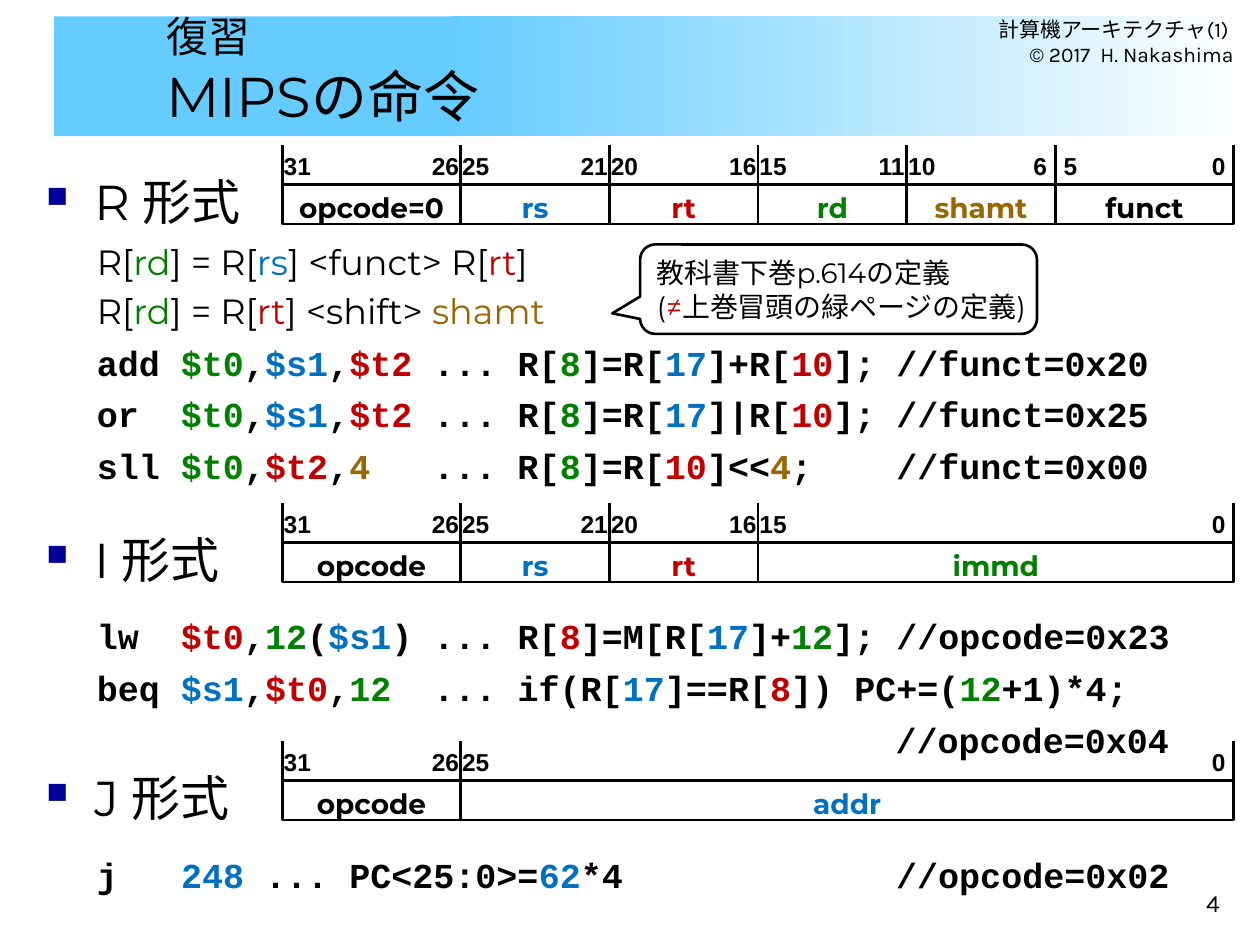
"""Build a slide that reviews the three MIPS instruction formats."""
import pptx
import pptx.dml.color
import pptx.enum.dml
import pptx.enum.shapes
import pptx.enum.text
import pptx.oxml
import pptx.oxml.ns
import pptx.util

COLUMNS, ROWS = 100, 75
CELL = pptx.util.Inches(0.1)
WORD_LEFT, BIT, WORD_BITS = 22.4, 2.36, 32
FIELD_HEIGHT = 3.15
LABEL_WIDTH = 2.4
BODY, CODE, NUMBER, HEADER = "Montserrat", "Courier New", "Arial", "Karla"
COLORS = {
    "black": "000000", "white": "FFFFFF", "sky": "66CCFF", "navy": "000099",
    "green": "008000", "blue": "0070C0", "red": "C00000", "brown": "996600",
}
ALIGN = pptx.enum.text.PP_ALIGN
ANCHOR = pptx.enum.text.MSO_ANCHOR
SHAPE = pptx.enum.shapes.MSO_SHAPE
NAMESPACE = pptx.oxml.ns.nsdecls("a")

FORMATS = [
    ("R 形式", 11.5, [
        (31, 26, "opcode=0", "black"), (25, 21, "rs", "blue"),
        (20, 16, "rt", "red"), (15, 11, "rd", "green"),
        (10, 6, "shamt", "brown"), (5, 0, "funct", "black"),
    ]),
    ("I 形式", 39.9, [
        (31, 26, "opcode", "black"), (25, 21, "rs", "blue"),
        (20, 16, "rt", "red"), (15, 0, "immd", "green"),
    ]),
    ("J 形式", 58.8, [(31, 26, "opcode", "black"), (25, 0, "addr", "blue")]),
]
R_MEANING = [
    "R[{green:rd}] = R[{blue:rs}] <funct> R[{red:rt}]",
    "R[{green:rd}] = R[{red:rt}] <shift> {brown:shamt}",
]
R_CODE = [
    "add {green:$t0},{blue:$s1},{red:$t2} ... R[{green:8}]=R[{blue:17}]+R[{red:10}]; //funct=0x20",
    "or  {green:$t0},{blue:$s1},{red:$t2} ... R[{green:8}]=R[{blue:17}]|R[{red:10}]; //funct=0x25",
    "sll {green:$t0},{red:$t2},{brown:4}   ... R[{green:8}]=R[{red:10}]<<{brown:4};    //funct=0x00",
]
I_CODE = [
    "lw  {red:$t0},{green:12}({blue:$s1}) ... R[{red:8}]=M[R[{blue:17}]+{green:12}]; //opcode=0x23",
    "beq {blue:$s1},{red:$t0},{green:12}  ... if(R[{blue:17}]==R[{red:8}]) PC+=({green:12}+1)*4;",
    "                                      //opcode=0x04",
]
J_CODE = ["j   {blue:248} ... PC<25:0>={blue:62}*4             //opcode=0x02"]


def grid(*lengths):
    return [round(length * CELL) for length in lengths]


def rgb(name):
    return pptx.dml.color.RGBColor.from_string(COLORS[name])


def colored_parts(text, color):
    for part in text.split("{"):
        marked, brace, rest = part.partition("}")
        if brace:
            name, _, words = marked.partition(":")
            yield words, name
            yield rest, color
        else:
            yield part, color


def write(paragraph, text, font=BODY, size=20, color="black", bold=False,
          align=ALIGN.LEFT, before=0):
    paragraph.alignment = align
    if before:
        paragraph.space_before = pptx.util.Pt(before)
    for words, name in colored_parts(text, color):
        if words:
            run = paragraph.add_run()
            run.text = words
            run.font.name = font
            run.font.size = pptx.util.Pt(size)
            run.font.bold = bold
            run.font.color.rgb = rgb(name)


def set_frame(shape, insets=(1, 0.5, 1, 0.5), anchor=ANCHOR.TOP, wrap=False):
    frame = shape.text_frame
    frame.word_wrap = wrap
    frame.vertical_anchor = anchor
    (frame.margin_left, frame.margin_top,
     frame.margin_right, frame.margin_bottom) = grid(*insets)
    return frame


def add_text(slide, place, **frame_format):
    return set_frame(slide.shapes.add_textbox(*grid(*place)), **frame_format)


def add_box(slide, place, kind=SHAPE.RECTANGLE, fill="white", outlined=True):
    shape = slide.shapes.add_shape(kind, *grid(*place))
    shape.shadow.inherit = False
    shape.fill.solid()
    shape.fill.fore_color.rgb = rgb(fill)
    if outlined:
        shape.line.color.rgb = rgb("black")
        shape.line.width = pptx.util.Pt(1.5)
    else:
        shape.line.fill.background()
    return shape


def add_tick(slide, left, top):
    line = slide.shapes.add_connector(
        pptx.enum.shapes.MSO_CONNECTOR.STRAIGHT,
        *grid(left, top + FIELD_HEIGHT, left, top))
    line.line.color.rgb = rgb("black")
    line.line.width = pptx.util.Pt(1.5)
    line._element.spPr.append(pptx.oxml.parse_xml(f"<a:effectLst {NAMESPACE}/>"))


def add_bullet(paragraph):
    properties = paragraph._p.get_or_add_pPr()
    properties.set("marL", str(grid(3.8)[0]))
    properties.set("indent", str(-grid(3.8)[0]))
    for xml in (
        f'<a:buClr {NAMESPACE}><a:srgbClr val="{COLORS["navy"]}"/></a:buClr>',
        f'<a:buSzPct {NAMESPACE} val="60000"/>',
        f'<a:buChar {NAMESPACE} char="■"/>',
    ):
        properties.append(pptx.oxml.parse_xml(xml))


def add_bit_number(slide, number, left, top):
    frame = add_text(slide, (left, top, LABEL_WIDTH, FIELD_HEIGHT),
                     insets=(0, 0.5, 0, 0))
    write(frame.paragraphs[0], str(number), font=NUMBER, size=14, bold=True,
          align=ALIGN.CENTER)


def add_word(slide, top, fields):
    for high, low, name, color in fields:
        left = WORD_LEFT + (WORD_BITS - 1 - high) * BIT
        width = (high - low + 1) * BIT
        box = add_box(slide, (left, top + FIELD_HEIGHT, width, FIELD_HEIGHT))
        frame = set_frame(box, insets=(0, 0.5, 0, 0), anchor=ANCHOR.MIDDLE)
        write(frame.paragraphs[0], name, size=16, color=color, bold=True,
              align=ALIGN.CENTER)
        add_bit_number(slide, high, left, top)
        add_bit_number(slide, low, left + width - LABEL_WIDTH, top)
        add_tick(slide, left, top)
    add_tick(slide, WORD_LEFT + WORD_BITS * BIT, top)


def add_heading(slide, text, word_top):
    frame = add_text(slide, (2.7, word_top + 1.6, 81.1, 4.7))
    add_bullet(frame.paragraphs[0])
    write(frame.paragraphs[0], text, size=28)


def add_lines(slide, place, code, meaning=()):
    frame = add_text(slide, place, wrap=True,
                     insets=(1, 0.5 if meaning else 1.1, 1, 0.5))
    lines = [(text, BODY, False, 4) for text in meaning]
    lines += [(text, CODE, True, 5.5) for text in code]
    for index, (text, font, bold, before) in enumerate(lines):
        paragraph = frame.add_paragraph() if index else frame.paragraphs[0]
        write(paragraph, text, font=font, bold=bold, before=before if index else 0)


def add_banner(slide):
    fade = add_box(slide, (35.8, 1.3, 63, 9.5), outlined=False)
    fade.fill.gradient()
    fade.fill.gradient_angle = 0
    for stop, name in zip(fade.fill.gradient_stops, ("sky", "white")):
        stop.color.rgb = rgb(name)
    add_box(slide, (4.3, 1.3, 31.5, 9.5), fill="sky", outlined=False)
    header = add_text(slide, (76.8, 1.3, 22.1, 4), insets=(1, 0, 1, 0.5))
    write(header.paragraphs[0], "計算機アーキテクチャ(1)  © 2017  H. Nakashima",
          font=HEADER, size=12, align=ALIGN.RIGHT)
    title = add_text(slide, (12.2, 1.3, 85.1, 9.4), anchor=ANCHOR.BOTTOM, wrap=True)
    write(title.paragraphs[0], "復習", size=24)
    write(title.add_paragraph(), "MIPSの命令", size=32)


def add_callout(slide):
    callout = add_box(slide, (50.8, 19.4, 31.5, 7.1),
                      kind=SHAPE.ROUNDED_RECTANGULAR_CALLOUT)
    for index, value in enumerate((-0.57, 0.27, 0.17)):
        callout.adjustments[index] = value
    frame = set_frame(callout, anchor=ANCHOR.MIDDLE)
    write(frame.paragraphs[0], "教科書下巻p.614の定義", size=16)
    write(frame.add_paragraph(), "({red:≠}上巻冒頭の緑ページの定義)", size=16)


def main():
    presentation = pptx.Presentation()
    presentation.slide_width, presentation.slide_height = grid(COLUMNS, ROWS)
    slide = presentation.slides.add_slide(presentation.slide_layouts[6])
    add_banner(slide)
    for heading, top, fields in FORMATS:
        add_word(slide, top, fields)
        add_heading(slide, heading, top)
    add_lines(slide, (6.7, 18.6, 86.6, 20.5), R_CODE, R_MEANING)
    add_lines(slide, (6.7, 47.7, 89, 9.5), I_CODE)
    add_lines(slide, (6.7, 66.6, 88.2, 5.5), J_CODE)
    add_callout(slide)
    number = add_text(slide, (77, 68.3, 20.8, 5), anchor=ANCHOR.BOTTOM, wrap=True)
    write(number.paragraphs[0], "4", font=HEADER, size=14, align=ALIGN.RIGHT)
    presentation.save("out.pptx")


if __name__ == "__main__":
    main()
